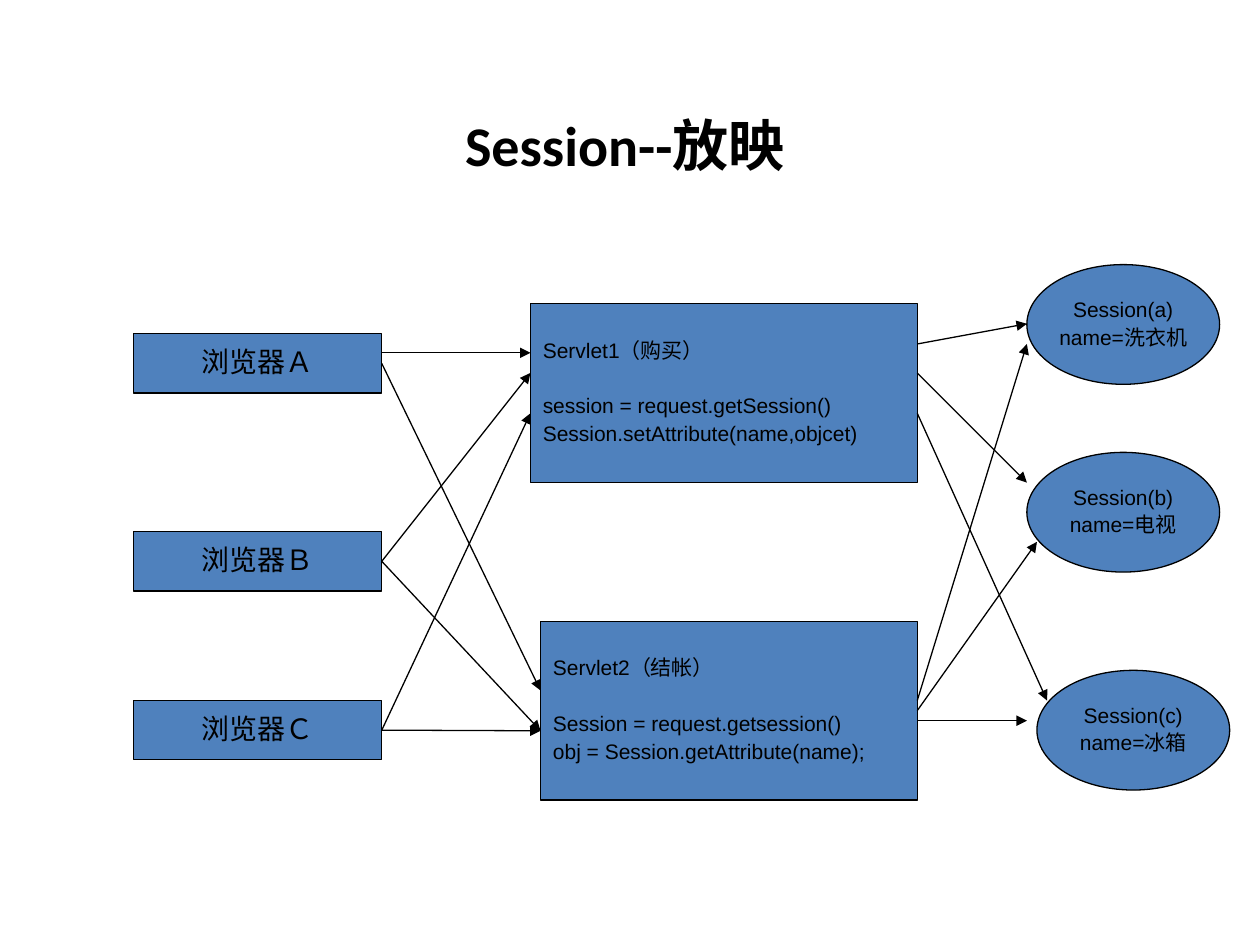
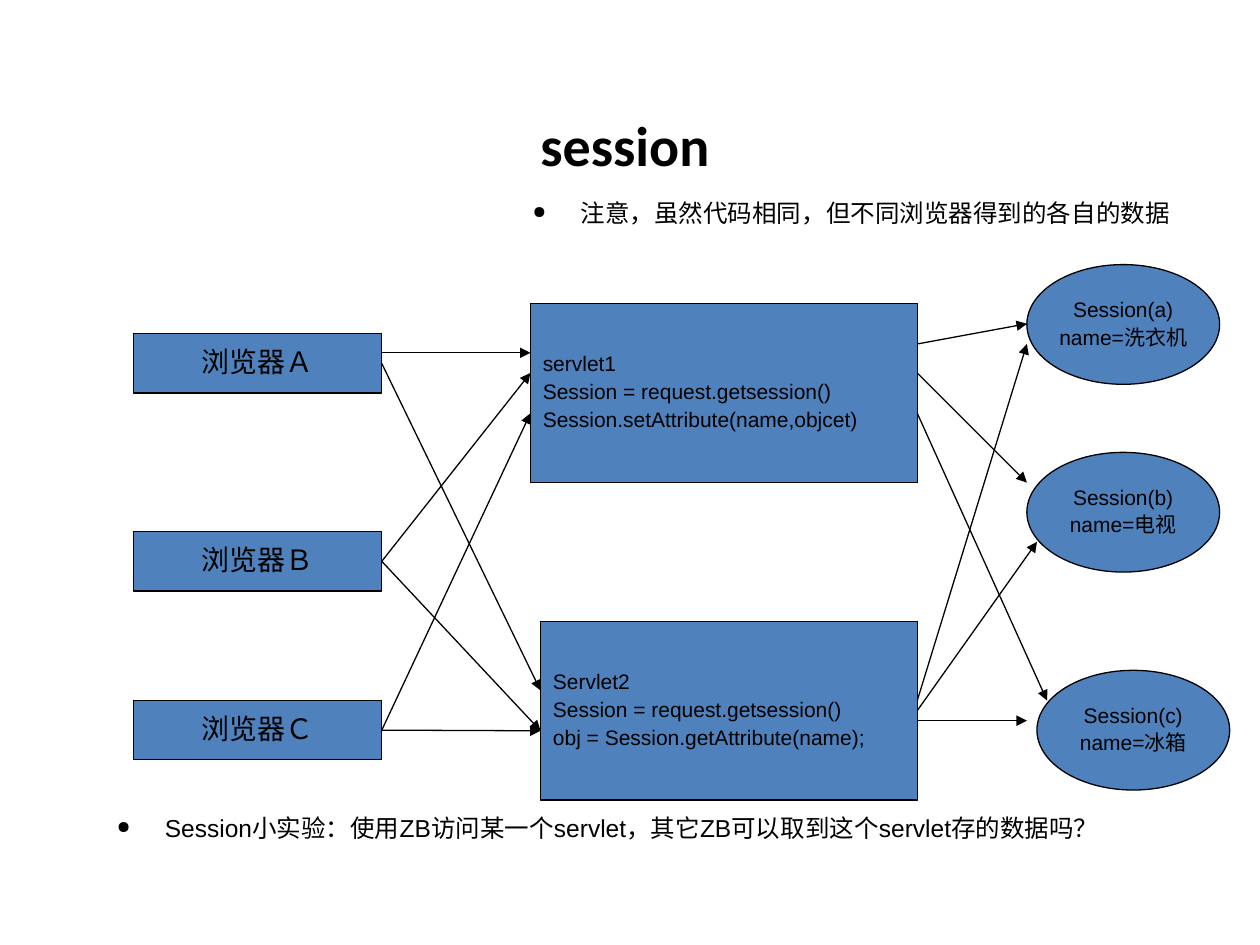
from lxml import etree
from pptx import Presentation
from pptx.dml.color import RGBColor
from pptx.enum.shapes import MSO_CONNECTOR, MSO_SHAPE
from pptx.enum.text import MSO_ANCHOR, MSO_AUTO_SIZE, PP_ALIGN
from pptx.oxml.ns import qn
from pptx.util import Inches, Pt

RECTANGLE, OVAL = MSO_SHAPE.RECTANGLE, MSO_SHAPE.OVAL
STRAIGHT = MSO_CONNECTOR.STRAIGHT
CENTER, LEFT = PP_ALIGN.CENTER, PP_ALIGN.LEFT
MIDDLE = MSO_ANCHOR.MIDDLE
GROW = MSO_AUTO_SIZE.SHAPE_TO_FIT_TEXT
RIGHT_SIDE = 3

BLACK = RGBColor(0, 0, 0)
BLUE = RGBColor(0x4F, 0x81, 0xBD)
LINE_WIDTH = Pt(0.75)
INDENT = Inches(0.38)
TITLE_AREA = (0.75, 0.36, 8.42, 1.57)

SLIDES = [
    {
        "title": "Session--放映",
        "servlets": {
            "servlet1": ["Servlet1（购买）", "session = request.getSession()",
                         "Session.setAttribute(name,objcet)"],
            "servlet2": ["Servlet2（结帐）", "Session = request.getsession()",
                         "obj = Session.getAttribute(name);"],
        },
        "heading_gap": 19,
        "notes": [],
    },
    {
        "title": "session",
        "servlets": {
            "servlet1": ["servlet1", "Session = request.getsession()",
                         "Session.setAttribute(name,objcet)"],
            "servlet2": ["Servlet2", "Session = request.getsession()",
                         "obj = Session.getAttribute(name);"],
        },
        "heading_gap": 3,
        "notes": [
            ("Session小实验：使用ZB访问某一个servlet，其它ZB可以取到这个servlet存的数据吗？",
             (0.83, 6.43, 8.58, 0.31)),
            ("注意，虽然代码相同，但不同浏览器得到的各自的数据",
             (4.13, 1.55, 5.63, 0.31)),
        ],
    },
]

BROWSERS = {"Ａ": 2.65, "Ｂ": 4.22, "Ｃ": 5.56}
BROWSER_LEFT, BROWSER_SIZE = 1.06, (1.97, 0.47)
SERVLET_AREAS = {
    "servlet1": (4.21, 2.41, 3.07, 1.42),
    "servlet2": (4.29, 4.93, 2.99, 1.42),
}
SESSIONS = [
    ("a", "洗衣机", (8.15, 2.1)),
    ("b", "电视", (8.15, 3.59)),
    ("c", "冰箱", (8.23, 5.32)),
]
SESSION_SIZE = (1.53, 0.95)

MID = None
ARROWS = [
    ("servlet1", 2.73, (8.15, 2.57)),
    ("Ａ", 2.8, (4.21, 2.8)),
    ("Ａ", MID, (4.29, 5.48)),
    ("servlet2", 5.56, (8.15, 2.73)),
    ("Ｂ", MID, (4.21, 2.96)),
    ("servlet1", 2.96, (8.15, 3.83)),
    ("Ｂ", MID, (4.29, 5.8)),
    ("servlet2", MID, (8.23, 4.3)),
    ("Ｃ", MID, (4.29, 5.8)),
    ("Ｃ", MID, (4.21, 3.28)),
    ("servlet1", 3.28, (8.31, 5.56)),
    ("servlet2", 5.72, (8.15, 5.72)),
]


def inches(values):
    return [Inches(value) for value in values]


def add_run(paragraph, text, size, font="Arial", bold=False):
    run = paragraph.add_run()
    run.text = text
    run.font.size = Pt(size)
    run.font.name = font
    run.font.bold = bold
    run.font.color.rgb = BLACK


def hang(paragraph, before):
    paragraph.line_spacing = 0.9
    paragraph.space_before = Pt(before)
    properties = paragraph._p.get_or_add_pPr()
    properties.set("marL", str(INDENT))
    properties.set("indent", str(-INDENT))
    return properties


def add_title(slide, text):
    frame = slide.shapes.add_textbox(*inches(TITLE_AREA)).text_frame
    frame.word_wrap = True
    frame.vertical_anchor = MIDDLE
    frame.paragraphs[0].alignment = CENTER
    add_run(frame.paragraphs[0], text, 32, "Calibri", True)


def add_node(slide, outline, area, lines, size, align, gaps):
    node = slide.shapes.add_shape(outline, *inches(area))
    node.shadow.inherit = False
    node.fill.solid()
    node.fill.fore_color.rgb = BLUE
    node.line.color.rgb = BLACK
    node.line.width = LINE_WIDTH
    frame = node.text_frame
    frame.word_wrap = False
    frame.vertical_anchor = MIDDLE
    for index, (line, gap) in enumerate(zip(lines, gaps)):
        paragraph = frame.add_paragraph() if index else frame.paragraphs[0]
        paragraph.alignment = align
        hang(paragraph, gap)
        add_run(paragraph, line, size)
    return node


def add_arrow(slide, source, start_y, end):
    start = source.left + source.width, Inches(start_y or 0)
    arrow = slide.shapes.add_connector(STRAIGHT, *start, *inches(end))
    if start_y is MID:
        arrow.begin_connect(source, RIGHT_SIDE)
    arrow.line.color.rgb = BLACK
    arrow.line.width = LINE_WIDTH
    etree.SubElement(arrow.line._get_or_add_ln(), qn("a:tailEnd"), type="triangle")
    etree.SubElement(arrow._element.spPr, qn("a:effectLst"))


def add_note(slide, text, area):
    frame = slide.shapes.add_textbox(*inches(area)).text_frame
    frame.word_wrap = True
    frame.auto_size = GROW
    paragraph = frame.paragraphs[0]
    properties = hang(paragraph, 8.8)
    color = etree.SubElement(properties, qn("a:buClr"))
    etree.SubElement(color, qn("a:srgbClr"), val=str(BLACK))
    etree.SubElement(properties, qn("a:buSzPct"), val="70000")
    etree.SubElement(properties, qn("a:buChar"), char="●")
    add_run(paragraph, text, 14)


def build_slide(deck, content):
    slide = deck.slides.add_slide(deck.slide_layouts[6])
    add_title(slide, content["title"])
    sources = {}
    for letter, top in BROWSERS.items():
        sources[letter] = add_node(slide, RECTANGLE, (BROWSER_LEFT, top, *BROWSER_SIZE),
                                   ["浏览器" + letter], 16, CENTER, [4])
    for servlet, lines in content["servlets"].items():
        sources[servlet] = add_node(slide, RECTANGLE, SERVLET_AREAS[servlet], lines,
                                    12, LEFT, [3, content["heading_gap"], 3])
    for letter, product, corner in SESSIONS:
        add_node(slide, OVAL, (*corner, *SESSION_SIZE),
                 [f"Session({letter})", f"name={product}"], 12, CENTER, [3, 3])
    for source, start_y, end in ARROWS:
        add_arrow(slide, sources[source], start_y, end)
    for text, area in content["notes"]:
        add_note(slide, text, area)


def main():
    deck = Presentation()
    deck.slide_width, deck.slide_height = inches((10, 7.5))
    for content in SLIDES:
        build_slide(deck, content)
    deck.save("out.pptx")


if __name__ == "__main__":
    main()
